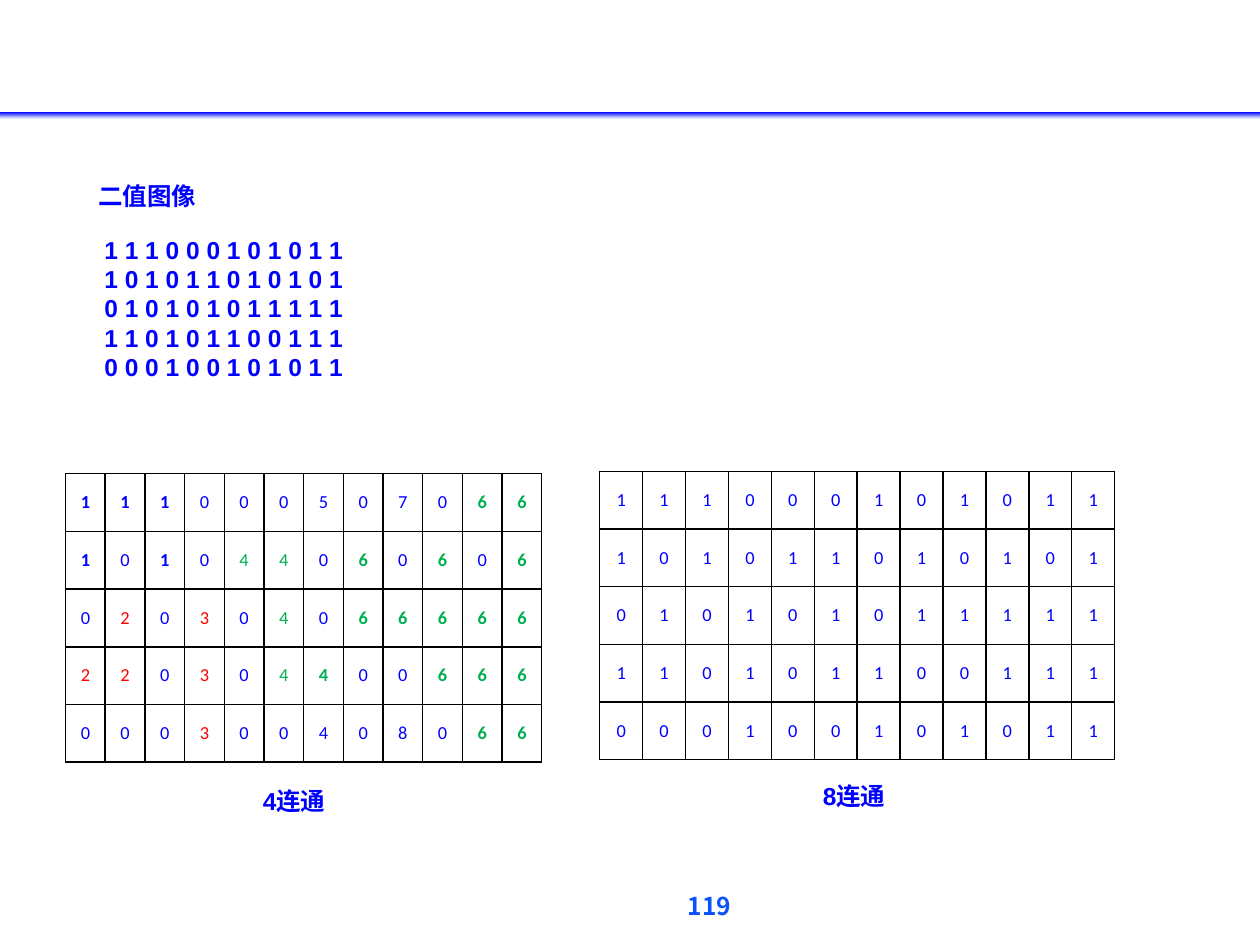
from copy import deepcopy

from lxml.etree import SubElement
from pptx import Presentation
from pptx.dml.color import RGBColor as RGB
from pptx.enum.shapes import MSO_SHAPE as Shape
from pptx.enum.text import MSO_ANCHOR as Anchor, MSO_AUTO_SIZE as AutoSize, PP_ALIGN as Align
from pptx.oxml.ns import qn
from pptx.util import Inches, Pt

# Content
HEADING = "二值图像"
PAGE_NUMBER = "119"
BINARY = ["111000101011", "101011010101", "010101011111", "110101100111", "000100101011"]
LABELED = ["111000507066", "101044060606", "020304066666", "220304400666", "000300408066"]
LABEL_COLORS = {"2": "red", "3": "red", "4": "green", "6": "green"}
BOLD_LABELS = "16"
BLUE_CELLS = {(4, 6)}  # exceptions to the label rules, as (row, column)
BOLD_CELLS = {(3, 6)}

TABLES = [  # left, top, width, digits, marks labels
    (0.52, 3.76, 3.78, LABELED, True),
    (4.76, 3.74, 4.09, BINARY, False),
]
CAPTIONS = [("4连通", 1.55, 6.19, 1.57), ("8连通", 6.11, 6.15, 1.34)]
TABLE_HEIGHT = 2.29


class Theme:
    blue = RGB(0x00, 0x00, 0xFF)
    red = RGB(0xFF, 0x00, 0x00)
    green = RGB(0x00, 0xB0, 0x50)
    page = RGB(0x0B, 0x52, 0xFC)
    bar = [(0, blue), (0.89, RGB(0xCC, 0xD6, 0xFF)), (1, RGB(0xE6, 0xEB, 0xFF))]
    border = "000000"
    text_font, cell_font, page_font = "Arial", "Calibri", "Noto Sans CJK SC"
    text_size, cell_size = Pt(14), Pt(10.5)


def style(paragraph, name, size, color, bold=True):
    font = paragraph.font
    font.name, font.size, font.bold = name, size, bold
    font.color.rgb = color


def add_text(slide, lines, left, top, width, height, align=Align.LEFT,
             name=Theme.text_font, color=Theme.blue):
    box = slide.shapes.add_textbox(*map(Inches, (left, top, width, height)))
    frame = box.text_frame
    frame.word_wrap = True
    frame.auto_size = AutoSize.NONE
    frame.text = "\n".join(lines)
    for paragraph in frame.paragraphs:
        paragraph.alignment = align
        style(paragraph, name, Theme.text_size, color)
    return frame.paragraphs


def add_borders(cell):
    properties = cell._tc.get_or_add_tcPr()
    for side in ("a:lnL", "a:lnR", "a:lnT", "a:lnB"):
        line = SubElement(properties, qn(side), w=str(Pt(1)))
        SubElement(SubElement(line, qn("a:solidFill")), qn("a:srgbClr"), val=Theme.border)


def add_grid(slide, left, top, width, digits, labeled):
    rows, columns = len(digits), len(digits[0])
    table = slide.shapes.add_table(
        rows, columns, *map(Inches, (left, top, width, TABLE_HEIGHT))).table
    table.first_row = table.horz_banding = False
    for column in table.columns:
        column.width = Inches(width / columns)
    for row_index, row in enumerate(digits):
        table.rows[row_index].height = Inches(TABLE_HEIGHT / rows)
        for column_index, digit in enumerate(row):
            place = (row_index, column_index)
            cell = table.cell(*place)
            add_borders(cell)
            cell.fill.background()
            cell.vertical_anchor = Anchor.MIDDLE
            cell.margin_left = cell.margin_right = Inches(0.07)
            cell.margin_top = cell.margin_bottom = 0
            cell.text = digit
            color, bold = "blue", False
            if labeled:
                bold = digit in BOLD_LABELS or place in BOLD_CELLS
                if place not in BLUE_CELLS:
                    color = LABEL_COLORS.get(digit, "blue")
            paragraph = cell.text_frame.paragraphs[0]
            paragraph.alignment = Align.CENTER
            style(paragraph, Theme.cell_font, Theme.cell_size, getattr(Theme, color), bold)


def add_bar(slide):
    bar = slide.shapes.add_shape(Shape.RECTANGLE, 0, Inches(0.89), Inches(10), Inches(0.05))
    bar.shadow.inherit = False
    bar.line.fill.background()
    bar.fill.gradient()
    bar.fill.gradient_angle = 270
    stop_list = bar._element.spPr.find(".//" + qn("a:gsLst"))
    stop_list.append(deepcopy(stop_list[0]))
    for stop, (position, color) in zip(bar.fill.gradient_stops, Theme.bar):
        stop.position = position
        stop.color.rgb = color


def main():
    presentation = Presentation()
    presentation.slide_width, presentation.slide_height = Inches(10), Inches(7.5)
    slide = presentation.slides.add_slide(presentation.slide_layouts[6])

    # Page number and header bar
    number = add_text(slide, [PAGE_NUMBER], 3.1, 7.07, 5.06, 0.3, Align.CENTER,
                      Theme.page_font, Theme.page)[0]
    number.line_spacing = 0.8
    add_bar(slide)

    # Heading with the binary matrix
    heading, *matrix = add_text(slide, [HEADING] + [" ".join(row) for row in BINARY],
                                0.51, 1.39, 5, 2.46)
    heading._p.get_or_add_pPr().set("marL", str(Inches(0.17)))
    for paragraph in matrix:
        paragraph._p.get_or_add_pPr().set("marL", str(Inches(0.22)))
        paragraph.line_spacing = Pt(16.7)
    matrix[0].space_before = Pt(14)

    # Component tables and captions
    for grid in TABLES:
        add_grid(slide, *grid)
    for caption, left, top, width in CAPTIONS:
        add_text(slide, [caption], left, top, width, 0.44, Align.CENTER)

    presentation.save("out.pptx")


if __name__ == "__main__":
    main()
